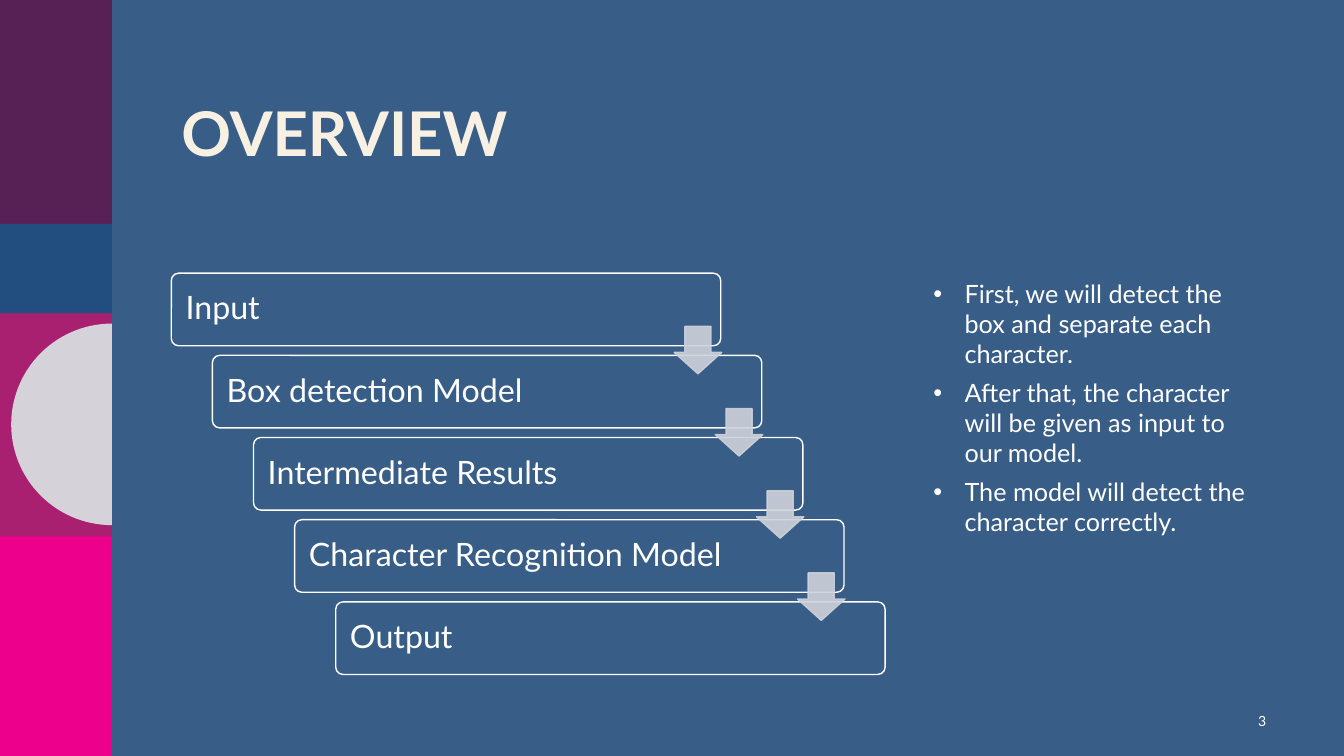
from dataclasses import dataclass
from math import cos, pi, sin

from lxml.etree import SubElement
from pptx import Presentation
from pptx.dml.color import RGBColor
from pptx.enum.shapes import MSO_SHAPE
from pptx.enum.text import MSO_ANCHOR, MSO_AUTO_SIZE, PP_ALIGN
from pptx.oxml.ns import qn
from pptx.shapes.autoshape import Shape
from pptx.slide import Slide
from pptx.text.text import TextFrame
from pptx.util import Inches, Pt

WIDTH, HEIGHT = Inches(13.33), Inches(7.5)
UNIT = WIDTH / 120
FONT = "Lato"
COLORS = {
    "back": "385E88", "plum": "582156", "navy": "224E7F", "berry": "AA2070",
    "pink": "EC008C", "disc": "D5D2DA", "arrow": "CED2DA",
    "cream": "F8F0E3", "white": "FFFFFF",
}


@dataclass(frozen=True)
class Area:
    col: float
    row: float
    wide: float
    high: float

    def move(self, cols: float, rows: float) -> "Area":
        return Area(self.col + cols, self.row + rows, self.wide, self.high)

    def spans(self) -> list[int]:
        return [units(n) for n in (self.col, self.row, self.wide, self.high)]


@dataclass(frozen=True)
class Band:
    area: Area
    color: str


BANDS = [
    Band(Area(0, 47.5, 10, 20), "pink"),
    Band(Area(0, 27.9, 10, 20), "berry"),
    Band(Area(0, 0, 10, 20), "plum"),
    Band(Area(0, 20, 10, 8), "navy"),
]
STEPS = ["Input", "Box detection Model", "Intermediate Results",
         "Character Recognition Model", "Output"]
NOTES = [
    "First, we will detect the box and separate each character.",
    "After that, the character will be given as input to our model.",
    "The model will detect the character correctly.",
]
TITLE = Area(15.3, 8.8, 97.1, 13.4)
SIDE = Area(82.45, 24.4, 30, 37)
NUMBER = Area(109.45, 62.55, 4.5, 3.6)
BOX = Area(15.3, 24.4, 49.05, 6.48)
ARROW = Area(60.2, 29.15, 4.24, 4.24)
SHIFT = (3.67, 7.34)


def units(count: float) -> int:
    return round(count * UNIT)


def tint(name: str) -> RGBColor:
    return RGBColor.from_string(COLORS[name])


def put(frame: TextFrame, lines: list[str], size: float, color: str = "white",
        bold: bool = False, align: PP_ALIGN = PP_ALIGN.LEFT,
        anchor: MSO_ANCHOR = MSO_ANCHOR.TOP, pitch: float = 1,
        after: float = 0, bullet: str = "") -> None:
    frame.word_wrap = True
    frame.auto_size = MSO_AUTO_SIZE.NONE
    frame.vertical_anchor = anchor
    frame.text = "\n".join(lines)
    for para in frame.paragraphs:
        para.alignment = align
        para.line_spacing = pitch
        para.space_before = Pt(0)
        para.space_after = Pt(after)
        font = para.runs[0].font
        font.name, font.size, font.bold = FONT, Pt(size), bold
        font.color.rgb = tint(color)
        if bullet:
            props = para._p.get_or_add_pPr()
            props.set("marL", str(Inches(0.31)))
            props.set("indent", str(-Inches(0.31)))
            SubElement(props, qn("a:buFont"), typeface="Arial")
            SubElement(props, qn("a:buChar"), char=bullet)


def paint(shape: Shape, fill: str, line: str = "", alpha: int = 100) -> None:
    shape.shadow.inherit = False
    shape.fill.solid()
    shape.fill.fore_color.rgb = tint(fill)
    if line:
        shape.line.color.rgb = tint(line)
        shape.line.width = Pt(1)
    else:
        shape.line.fill.background()
    if alpha < 100:
        for color in shape.element.spPr.iter(qn("a:srgbClr")):
            SubElement(color, qn("a:alpha"), val=str(alpha * 1000))


def draw(slide: Slide, kind: MSO_SHAPE, area: Area, fill: str,
         line: str = "", alpha: int = 100) -> Shape:
    shape = slide.shapes.add_shape(kind, *area.spans())
    paint(shape, fill, line, alpha)
    return shape


def label(slide: Slide, area: Area) -> TextFrame:
    return slide.shapes.add_textbox(*area.spans()).text_frame


def half_disc(slide: Slide, col: float, row: float, size: float) -> None:
    turns = [pi / 2 + pi * n / 60 for n in range(61)]
    dots = [(units(col + size * cos(t)), units(row + size * sin(t)))
            for t in turns]
    path = slide.shapes.build_freeform(*dots[0])
    path.add_line_segments(dots[1:], close=True)
    paint(path.convert_to_shape(), "disc")


def stairs(slide: Slide) -> None:
    spots = [(SHIFT[0] * n, SHIFT[1] * n) for n in range(len(STEPS))]
    for text, spot in zip(STEPS, spots):
        box = draw(slide, MSO_SHAPE.ROUNDED_RECTANGLE, BOX.move(*spot),
                   "back", "white")
        box.adjustments[0] = 0.1
        box.text_frame.margin_left = Inches(0.12)
        put(box.text_frame, [text], size=23, anchor=MSO_ANCHOR.MIDDLE,
            pitch=0.9)
    for spot in spots[:-1]:
        arrow = draw(slide, MSO_SHAPE.DOWN_ARROW, ARROW.move(*spot),
                     "arrow", "arrow", alpha=90)
        arrow.adjustments[0] = 0.55
        arrow.adjustments[1] = 0.45


def main() -> None:
    deck = Presentation()
    deck.slide_width, deck.slide_height = WIDTH, HEIGHT
    slide = deck.slides.add_slide(deck.slide_layouts[5])
    slide.background.fill.solid()
    slide.background.fill.fore_color.rgb = tint("back")

    for band in BANDS:
        draw(slide, MSO_SHAPE.RECTANGLE, band.area, band.color)
    half_disc(slide, col=10, row=37.9, size=9)

    title = slide.shapes.title
    title.left, title.top, title.width, title.height = TITLE.spans()
    put(title.text_frame, ["OVERVIEW"], size=44, color="cream", bold=True,
        pitch=0.9)
    put(label(slide, SIDE), NOTES, size=18, after=6, bullet="•")
    put(label(slide, NUMBER), ["3"], size=10, align=PP_ALIGN.RIGHT,
        anchor=MSO_ANCHOR.MIDDLE)
    stairs(slide)
    deck.save("out.pptx")


if __name__ == "__main__":
    main()
